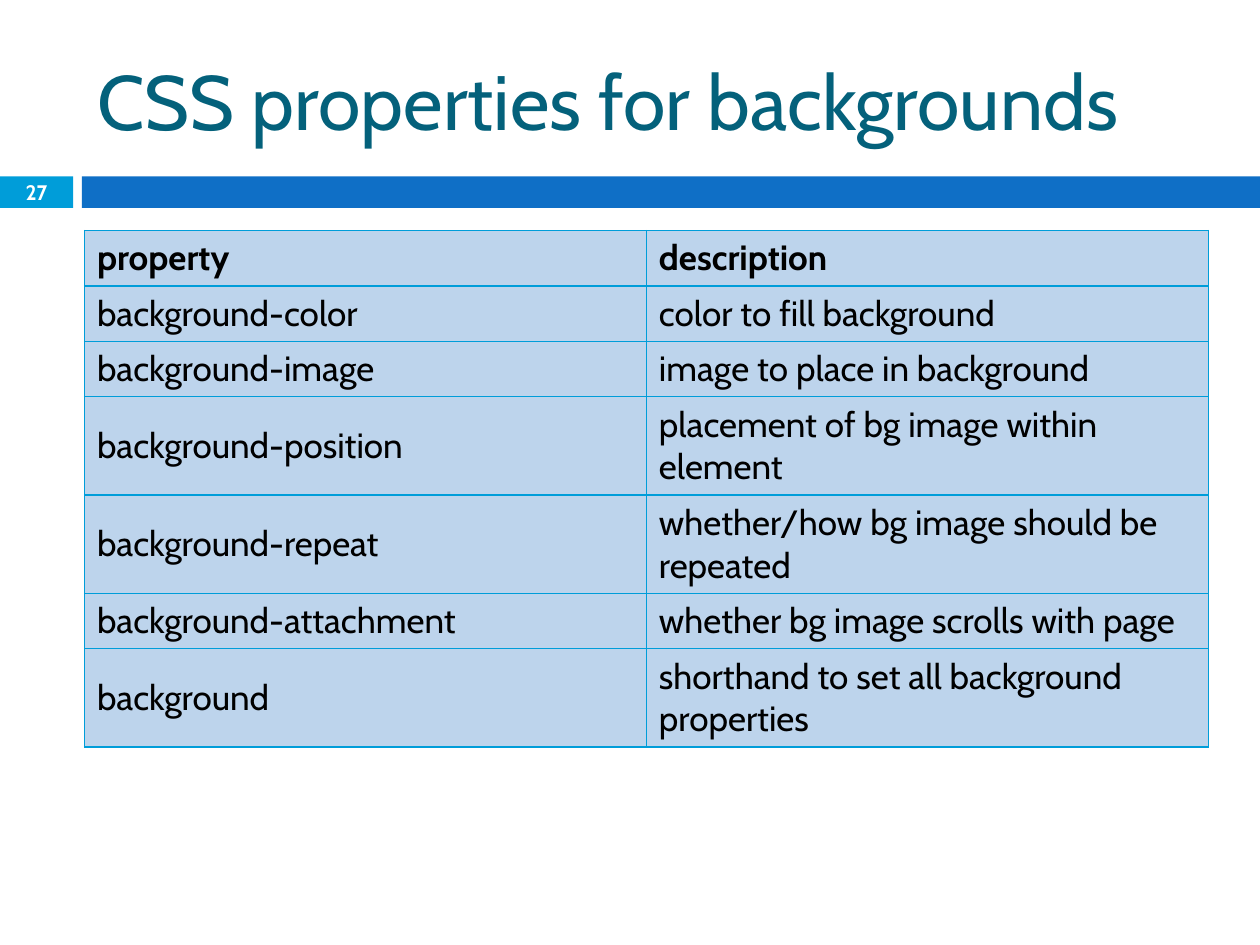
from lxml import etree
from pptx import Presentation
from pptx.dml.color import RGBColor
from pptx.enum.shapes import MSO_SHAPE
from pptx.enum.text import MSO_ANCHOR, MSO_AUTO_SIZE, PP_ALIGN
from pptx.oxml.ns import qn
from pptx.util import Inches, Pt

RECT = MSO_SHAPE.RECTANGLE
MIDDLE = MSO_ANCHOR.MIDDLE
NO_FIT = MSO_AUTO_SIZE.NONE
LEFT, CENTER = PP_ALIGN.LEFT, PP_ALIGN.CENTER

FONT = "Cabin"
TEAL = RGBColor(0x04, 0x61, 0x7B)
CYAN = RGBColor(0x00, 0x9D, 0xD9)
BLUE = RGBColor(0x0F, 0x6F, 0xC6)
PALE = RGBColor(0xBD, 0xD4, 0xEC)
BLACK = RGBColor(0, 0, 0)
WHITE = RGBColor(0xFF, 0xFF, 0xFF)

ROWS = [
    ("property", "description"),
    ("background-color", "color to fill background"),
    ("background-image", "image to place in background"),
    ("background-position", "placement of bg image within element"),
    ("background-repeat", "whether/how bg image should be repeated"),
    ("background-attachment", "whether bg image scrolls with page"),
    ("background", "shorthand to set all background properties"),
]
ONE_LINE, TWO_LINES = 0.44, 0.78
LINE_LIMIT = 35


def format_text(tf, size, color, bold=False, align=LEFT):
    tf.word_wrap = True
    tf.vertical_anchor = MIDDLE
    for p in tf.paragraphs:
        p.alignment = align
        for r in p.runs:
            r.font.name = FONT
            r.font.size = Pt(size)
            r.font.bold = bold
            r.font.color.rgb = color


def add_title(s, text, x, y, w, h):
    title = s.shapes.title
    title.left, title.top = Inches(x), Inches(y)
    title.width, title.height = Inches(w), Inches(h)
    tf = title.text_frame
    tf.text = text
    tf.auto_size = NO_FIT
    format_text(tf, 44, TEAL)


def add_bar(s, color, x, y, w, h):
    bar = s.shapes.add_shape(RECT, Inches(x), Inches(y), Inches(w), Inches(h))
    bar.shadow.inherit = False
    bar.fill.solid()
    bar.fill.fore_color.rgb = color
    bar.line.fill.background()
    return bar


def add_number_band(s, number, x, y, w, h):
    box_w, gap = 0.58, 0.07
    tf = add_bar(s, CYAN, x, y, box_w, h).text_frame
    tf.margin_left = tf.margin_right = tf.margin_top = tf.margin_bottom = 0
    tf.text = number
    format_text(tf, 12, WHITE, True, CENTER)
    add_bar(s, BLUE, x + box_w + gap, y, w - box_w - gap, h)


def set_borders(cell):
    tcPr = cell._tc.get_or_add_tcPr()
    for i, side in enumerate(("lnL", "lnR", "lnT", "lnB")):
        ln = etree.Element(qn(f"a:{side}"), w=str(Pt(0.79)))
        fill = etree.SubElement(ln, qn("a:solidFill"))
        etree.SubElement(fill, qn("a:srgbClr"), val=str(CYAN))
        tcPr.insert(i, ln)


def add_property_table(s, x, y, w):
    heights = [TWO_LINES if len(row[1]) > LINE_LIMIT else ONE_LINE for row in ROWS]
    frame = s.shapes.add_table(len(ROWS), 2, Inches(x), Inches(y),
                               Inches(w), Inches(sum(heights)))
    table = frame.table
    for i, row in enumerate(ROWS):
        table.rows[i].height = Inches(heights[i])
        for j, text in enumerate(row):
            cell = table.cell(i, j)
            cell.text = text
            cell.fill.solid()
            cell.fill.fore_color.rgb = PALE
            cell.vertical_anchor = MIDDLE
            format_text(cell.text_frame, 20, BLACK, i == 0)
            set_borders(cell)


def main():
    prs = Presentation()
    prs.slide_width, prs.slide_height = Inches(10), Inches(7.5)
    s = prs.slides.add_slide(prs.slide_layouts[5])
    add_number_band(s, "27", 0, 1.4, 10, 0.25)
    add_title(s, "CSS properties for backgrounds", 0.67, 0.25, 8.92, 1.08)
    add_property_table(s, 0.67, 1.83, 8.92)
    prs.save("out.pptx")


if __name__ == "__main__":
    main()
